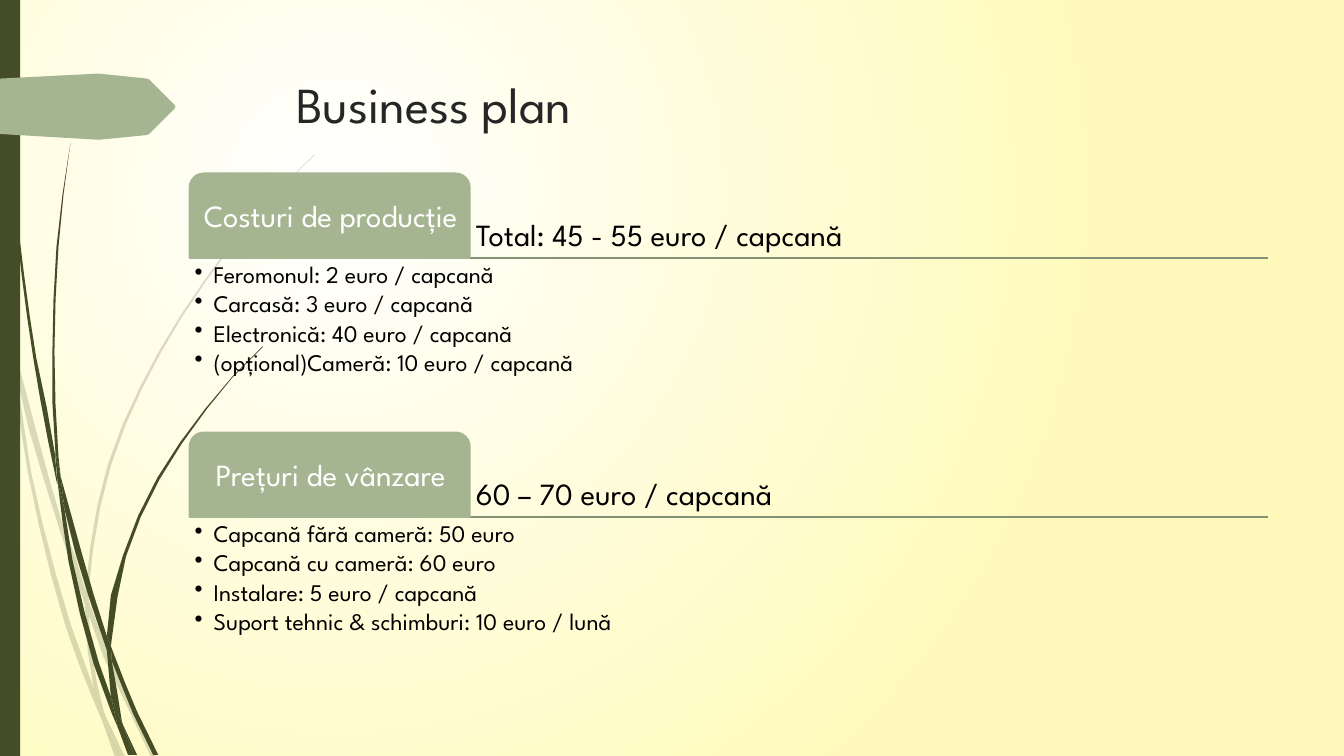
from dataclasses import dataclass
from itertools import chain
from typing import Optional

from lxml.etree import SubElement as Sub
from pptx import Presentation
from pptx.dml.color import RGBColor as Rgb
from pptx.enum.shapes import MSO_CONNECTOR as Wire, MSO_SHAPE as Form
from pptx.enum.text import MSO_ANCHOR as Hold, PP_ALIGN as Align
from pptx.oxml.ns import qn
from pptx.util import Inches, Pt

HUES = {"moss": "444D26", "sage": "A5B592", "rule": "849175", "ink": "262626",
        "black": "000000", "white": "FFFFFF", "cream": "FFFABB"}
FONT = "League Spartan"
COLS, ROWS = 1333, 750
WIDE, HIGH = Inches(13.33), Inches(7.5)


@dataclass
class Box:
    x: float
    y: float
    w: float
    h: float


@dataclass
class Style:
    size: float
    hue: str
    hold: Hold = Hold.TOP
    side: Align = Align.LEFT
    pad: float = 0.05
    lead: Optional[float] = None
    after: int = 0
    dots: bool = False


@dataclass
class Part:
    top: float
    name: str
    total: str
    items: list[str]


TITLE = Style(36, "ink", pad=0.1)
TAB = Style(22, "white", Hold.MIDDLE, Align.CENTER, lead=0.9, after=35)
TOTAL = Style(22, "black", Hold.BOTTOM, lead=0.9, after=35)
LIST = Style(17, "black", lead=0.9, after=15, dots=True)

PARTS = [
    Part(172, "Costuri de producție", "Total: 45 - 55 euro / capcană",
         ["Feromonul: 2 euro / capcană", "Carcasă: 3 euro / capcană",
          "Electronică: 40 euro / capcană", "(opțional)Cameră: 10 euro / capcană"]),
    Part(429, "Prețuri de vânzare", "60 – 70 euro / capcană",
         ["Capcană fără cameră: 50 euro", "Capcană cu cameră: 60 euro",
          "Instalare: 5 euro / capcană", "Suport tehnic & schimburi: 10 euro / lună"]),
]

PALE = [
    "11,350 9,322 0,282 0,299 10,344",
    "58,522 84,599 85,586 62,520 14,345 17,376",
    "92,607 88,596 88,610 123,694 150,751 155,751 127,692",
    "119,751 124,751 105,711",
    "93,683 70,619 31,469 17,376 11,350 28,470 65,621 92,693 101,714 99,707",
    "84,599 87,646 93,683 96,692 105,711 103,706 91,646 88,610 88,608",
    "88,584 110,462 160,349 229,245 268,198 312,154 312,153 268,197 "
    "228,244 158,348 107,461 85,584 85,586 88,596",
    "101,714 114,751 119,751",
    "88,608 88,610 88,596 85,586 84,599",
    "96,692 93,683 99,707 101,714 119,751 105,711",
]
DARK = [
    "7,110 17,233 33,355 56,477 57,481 55,457 55,453 36,355 19,232 8,109 "
    "4,0 3,0",
    "88,592 106,645 106,631 93,590 60,472 64,505",
    "113,649 110,641 111,656 132,708 152,749 157,749 136,706",
    "110,691 98,657 72,556 64,505 57,477 68,557 93,659 111,708 117,722 116,717",
    "60,472 58,453 54,349 58,245 63,193 70,141 62,193 56,245 52,349 55,449",
    "133,749 136,749 122,719",
    "57,477 64,505 60,472 55,449 55,453",
    "111,633 125,552 158,476 205,406 231,374 261,344 260,344 "
    "231,373 204,405 156,474 122,551 106,631 110,641",
    "117,722 127,749 131,749",
    "106,645 110,691 116,706 122,719 121,716 111,656 109,651",
    "106,645 109,651 111,656 110,641 106,631",
    "116,706 110,691 116,717 117,722 130,749 133,749 122,719",
]
FLAG = "173,108 148,133 146,134 0,133 0,78 146,78 148,79 173,104 174,106"


def col(x: float) -> int:
    return round(WIDE * x / COLS)


def row(y: float) -> int:
    return round(HIGH * y / ROWS)


def unit(z: complex) -> complex:
    return z / abs(z)


def curve(text: str) -> list[tuple[int, int]]:
    pts = [complex(*map(float, pair.split(","))) for pair in text.split()]
    size = len(pts)
    steps = [pts[(i + 1) % size] - pts[i] for i in range(size)]
    dirs = [unit(step) for step in steps]

    def lean(knot: int, own: complex) -> complex:
        one, two = dirs[knot - 1], dirs[knot]
        return unit(one + two) if (one * two.conjugate()).real > 0.8 else own

    out = []
    for i, step in enumerate(steps):
        near = lean(i, dirs[i]) * abs(step) / 3
        far = lean((i + 1) % size, dirs[i]) * abs(step) / 3
        a, d = pts[i], pts[i] + step
        b, c = a + near, d - far
        count = 1 + int(abs(step) / 60)
        for n in range(count):
            t = n / count
            u = 1 - t
            z = u**3 * a + 3 * u * u * t * b + 3 * u * t * t * c + t**3 * d
            out.append((col(z.real), row(z.imag)))
    return out


def paint(shape, hue: str, line: bool = False, alpha: int = 100) -> None:
    shape.shadow.inherit = False
    shape.fill.solid()
    shape.fill.fore_color.rgb = Rgb.from_string(HUES[hue])
    if line:
        shape.line.color.rgb = Rgb.from_string(HUES[hue])
        shape.line.width = Pt(1.25)
    else:
        shape.line.fill.background()
    if alpha < 100:
        tint = shape.element.spPr.find(qn("a:solidFill"))[0]
        Sub(tint, qn("a:alpha"), val=str(alpha * 1000))


def blade(slide, text: str, hue: str, alpha: int = 100) -> None:
    pts = curve(text)
    pen = slide.shapes.build_freeform(*pts[0], scale=1.0)
    pen.add_line_segments(pts[1:], close=True)
    paint(pen.convert_to_shape(), hue, alpha=alpha)


def block(slide, form: Form, box: Box, hue: str, line: bool = False):
    shape = slide.shapes.add_shape(form, col(box.x), row(box.y), col(box.w), row(box.h))
    paint(shape, hue, line)
    return shape


def write(slide, box: Box, lines: list[str], style: Style) -> None:
    frame = slide.shapes.add_textbox(col(box.x), row(box.y), col(box.w), row(box.h)).text_frame
    frame.word_wrap = True
    frame.vertical_anchor = style.hold
    frame.margin_left = frame.margin_right = Inches(style.pad)
    frame.margin_top = frame.margin_bottom = Inches(0.05)
    for i, line in enumerate(lines):
        para = frame.add_paragraph() if i else frame.paragraphs[0]
        para.alignment = style.side
        if style.lead:
            para.line_spacing = style.lead
        props = para._p.get_or_add_pPr()
        if style.after:
            Sub(Sub(props, qn("a:spcAft")), qn("a:spcPct"), val=str(style.after * 1000))
        if style.dots:
            para.level = 1
            props.set("marL", str(Inches(0.19)))
            props.set("indent", str(-Inches(0.19)))
            Sub(props, qn("a:buChar"), char="•")
        run = para.add_run()
        run.text = line
        run.font.name = FONT
        run.font.size = Pt(style.size)
        run.font.color.rgb = Rgb.from_string(HUES[style.hue])


def rule(slide, y: float) -> None:
    wire = slide.shapes.add_connector(Wire.STRAIGHT, col(188), row(y), col(1258), row(y))
    wire.line.color.rgb = Rgb.from_string(HUES["rule"])
    wire.line.width = Pt(1.25)
    Sub(wire.element.spPr, qn("a:effectLst"))


def glow(slide) -> None:
    fill = slide.background.fill
    fill.gradient()
    for stop, hue in zip(fill.gradient_stops, ("white", "cream")):
        stop.color.rgb = Rgb.from_string(HUES[hue])
    lin = slide.element.find(".//" + qn("a:lin"))
    grad = lin.getparent()
    grad.remove(lin)
    ring = Sub(grad, qn("a:path"), path="circle")
    Sub(ring, qn("a:fillToRect"), l="50000", t="50000", r="100000", b="100000")


def draw(slide, part: Part) -> None:
    base = part.top + 84
    rule(slide, base)
    write(slide, Box(467, part.top, 792, 84), [part.total], TOTAL)
    tab = block(slide, Form.ROUND_2_SAME_RECTANGLE, Box(188, part.top, 278, 84), "sage", True)
    tab.adjustments[0], tab.adjustments[1] = 0.167, 0
    write(slide, Box(193, part.top + 4, 270, 80), [part.name], TAB)
    write(slide, Box(188, base, 1070, 169), part.items, LIST)


def main() -> None:
    deck = Presentation()
    deck.slide_width, deck.slide_height = WIDE, HIGH
    slide = deck.slides.add_slide(deck.slide_layouts[6])
    glow(slide)
    for text, alpha in chain(((t, 20) for t in PALE), ((t, 100) for t in DARK)):
        blade(slide, text, "moss", alpha)
    block(slide, Form.RECTANGLE, Box(0, 0, 20, ROWS), "moss")
    blade(slide, FLAG, "sage")
    write(slide, Box(284, 68, 975, 140), ["Business plan"], TITLE)
    for part in PARTS:
        draw(slide, part)
    deck.save("out.pptx")


if __name__ == "__main__":
    main()
